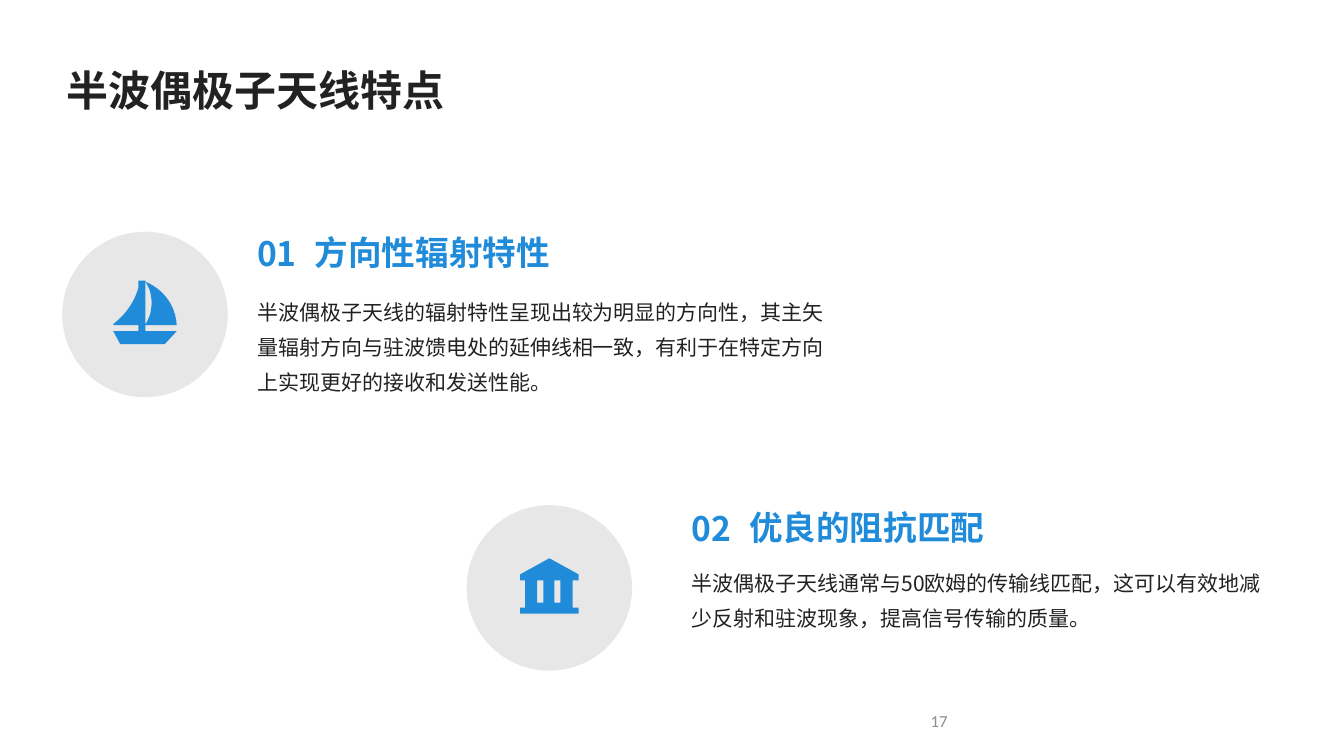
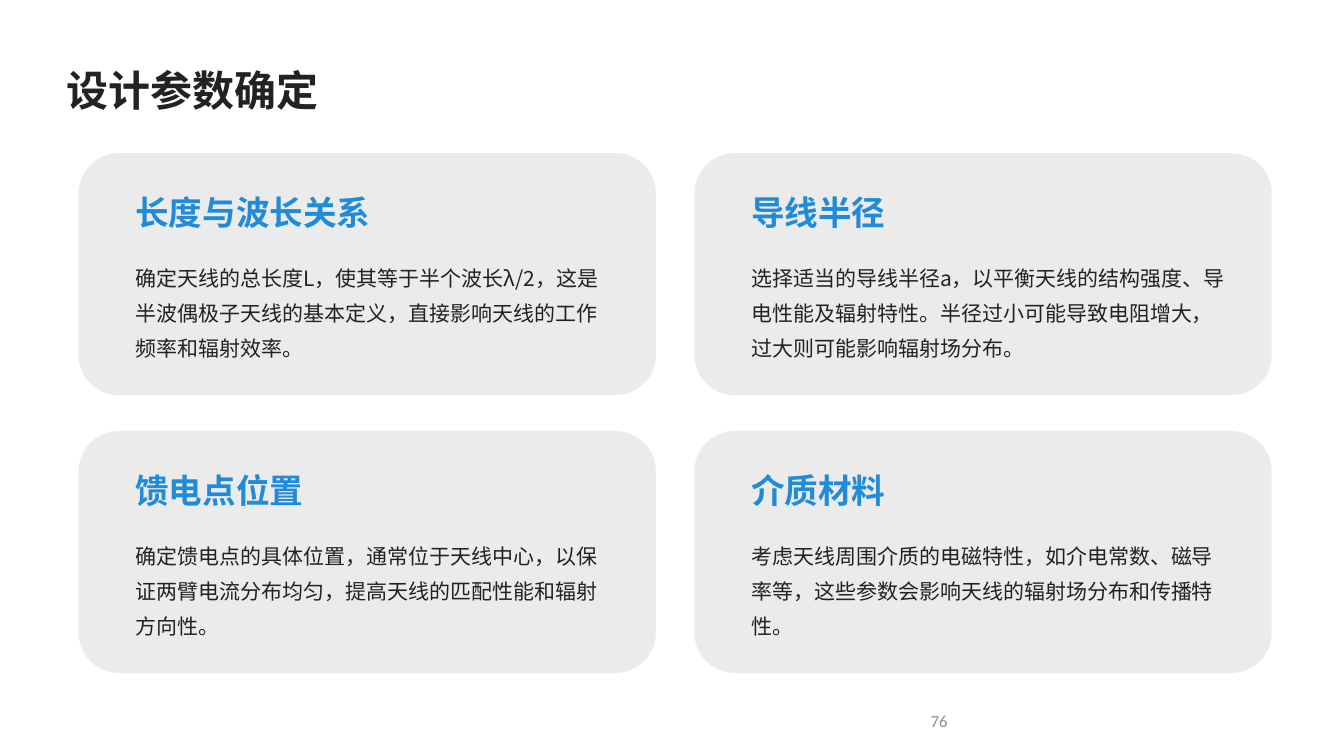
from pptx import Presentation
from pptx import util as u
from pptx.dml.color import RGBColor
from pptx.enum import shapes, text
from pptx.oxml.ns import qn
from lxml import etree

# Shared style
BLUE = RGBColor(0x20, 0x8B, 0xD9)
INK = RGBColor(0x22, 0x22, 0x22)
LIGHT_GREY = RGBColor(0xE7, 0xE7, 0xE7)
NUMBER_GREY = RGBColor(0x8D, 0x8D, 0x8D)
CJK_FONT = "Noto Sans CJK SC"
TIGHT = (0.18, 0.1, 0.18, 0.1)
ROOMY = (0.36, 0.36, 0.15, 0.36)
HEADING = dict(size=24, color=BLUE, bold=True, spacing=1.2)
BODY = dict(size=15, color=INK, spacing=1.4)

# Icon outlines in hundredths of an inch: a pair is a corner, three pairs a curve
SAILBOAT = [
    [(25, 6), (25, 0), (32, 0), (32, 50), (63, 50), (51, 63), (7, 63),
     (0, 50), (25, 50), (25, 44), (0, 44), (0, 43),
     ((12, 34), (21, 21), (25, 7))],
    [(63, 44), (32, 44), (32, 43), ((36, 37), (38, 30), (38, 22)),
     ((38, 14), (36, 7), (32, 1)), ((49, 8), (62, 24), (63, 44))],
]


def block(left, top, right, bottom):
    return [(left, top), (right, top), (right, bottom), (left, bottom)]


TEMPLE = [
    [(0, 16), (29, 0), (58, 16), (58, 22), (0, 22)],
    block(0, 49, 58, 55),
    block(5, 44, 52, 49),
    *[block(left, 22, right, 44) for left, right in ((5, 17), (23, 34), (40, 52))],
]

# Content
FEATURES_TITLE, FEATURES_NUMBER = "半波偶极子天线特点", "17"
FEATURES = [
    dict(number="01", heading="方向性辐射特性",
         body="半波偶极子天线的辐射特性呈现出较为明显的方向性，其主矢量辐射方向与驻波馈电处的延伸线相一致，有利于在特定方向上实现更好的接收和发送性能。",
         icon=SAILBOAT, circle=(1.57, 5.84), left=6.3, heading_top=5.59, body_top=7.19),
    dict(number="02", heading="优良的阻抗匹配",
         body="半波偶极子天线通常与50欧姆的传输线匹配，这可以有效地减少反射和驻波现象，提高信号传输的质量。",
         icon=TEMPLE, circle=(11.76, 12.73), left=17.25, heading_top=12.52, body_top=14.02),
]
CARDS_TITLE, CARDS_NUMBER = "设计参数确定", "76"
CARDS = [
    ("长度与波长关系", "确定天线的总长度L，使其等于半个波长λ/2，这是半波偶极子天线的基本定义，直接影响天线的工作频率和辐射效率。"),
    ("导线半径", "选择适当的导线半径a，以平衡天线的结构强度、导电性能及辐射特性。半径过小可能导致电阻增大，过大则可能影响辐射场分布。"),
    ("馈电点位置", "确定馈电点的具体位置，通常位于天线中心，以保证两臂电流分布均匀，提高天线的匹配性能和辐射方向性。"),
    ("介质材料", "考虑天线周围介质的电磁特性，如介电常数、磁导率等，这些参数会影响天线的辐射场分布和传播特性。"),
]


def write(box, words, size, color, bold=False, font=CJK_FONT, spacing=1.0,
          align=text.PP_ALIGN.LEFT, anchor=text.MSO_ANCHOR.TOP, insets=TIGHT):
    frame = box.text_frame
    frame.word_wrap = True
    frame.auto_size = text.MSO_AUTO_SIZE.NONE
    frame.vertical_anchor = anchor
    (frame.margin_left, frame.margin_top,
     frame.margin_right, frame.margin_bottom) = map(u.Cm, insets)
    para = frame.paragraphs[0]
    para.alignment = align
    para.line_spacing = spacing
    span = para.add_run()
    span.text = words
    span.font.size = u.Pt(size)
    span.font.bold = bold
    span.font.color.rgb = color
    span.font.name = font
    east_asian = etree.SubElement(span.font._element, qn("a:ea"))
    east_asian.set("typeface", font)


def add_text(page, words, at, **style):
    write(page.shapes.add_textbox(*map(u.Cm, at)), words, **style)


def paint(shape, color, opacity=100):
    shape.shadow.inherit = False
    shape.line.fill.background()
    shape.fill.solid()
    shape.fill.fore_color.rgb = color
    if opacity < 100:
        tint = shape._element.spPr.find(qn("a:solidFill"))[0]
        etree.SubElement(tint, qn("a:alpha")).set("val", str(opacity * 1000))


def add_shape(page, kind, at, **look):
    shape = page.shapes.add_shape(kind, *map(u.Cm, at))
    paint(shape, LIGHT_GREY, **look)
    return shape


def flatten(outline, steps=12):
    """Turn corners and cubic curves into points, in thousandths of an inch."""
    points = []
    for part in outline:
        if not isinstance(part[0], tuple):
            points.append((part[0] * 10, part[1] * 10))
            continue
        curve = [points[-1]] + [(x * 10, y * 10) for x, y in part]
        for step in range(1, steps + 1):
            t = step / steps
            weights = ((1 - t) ** 3, 3 * t * (1 - t) ** 2, 3 * t ** 2 * (1 - t), t ** 3)
            points.append(tuple(sum(w * p[axis] for w, p in zip(weights, curve))
                                for axis in (0, 1)))
    return points


def add_icon(page, outlines, circle):
    contours = [flatten(outline) for outline in outlines]
    pen = page.shapes.build_freeform(*contours[0][0], scale=u.Cm(2.54) / 1000)
    for index, points in enumerate(contours):
        if index:
            pen.move_to(*points[0])
        pen.add_line_segments(points[1:], close=True)
    icon = pen.convert_to_shape()
    icon.left = circle.left + (circle.width - icon.width) // 2
    icon.top = circle.top + (circle.height - icon.height) // 2 - u.Cm(0.05)
    paint(icon, BLUE)


def add_page(deck, title, number):
    page = deck.slides.add_slide(deck.slide_layouts[5])
    box = page.shapes.title
    box.left, box.top, box.width, box.height = map(u.Cm, (1.32, 0.74, 31.22, 2.54))
    write(box, title, size=30, color=INK, bold=True, spacing=1.4,
          anchor=text.MSO_ANCHOR.MIDDLE, insets=ROOMY)
    add_text(page, number, (18.21, 17.65, 5.92, 1.02), size=12, color=NUMBER_GREY,
             font="Calibri", align=text.PP_ALIGN.RIGHT,
             anchor=text.MSO_ANCHOR.MIDDLE, insets=(0.25, 0.13, 0.25, 0.13))
    return page


def add_feature(page, feature):
    circle = add_shape(page, shapes.MSO_SHAPE.OVAL, (*feature["circle"], 4.17, 4.17))
    add_icon(page, feature["icon"], circle)
    left, top = feature["left"], feature["heading_top"]
    add_text(page, feature["number"], (left, top - 0.22, 1.83, 1.8),
             anchor=text.MSO_ANCHOR.MIDDLE, **HEADING)
    add_text(page, feature["heading"], (left + 1.45, top, 8.3, 1.37),
             anchor=text.MSO_ANCHOR.BOTTOM, **HEADING)
    add_text(page, feature["body"], (left, feature["body_top"], 15.09, 2.97), **BODY)


def add_card(page, index, heading, body):
    row, column = divmod(index, 2)
    left, top = 1.98 + column * 15.52, 3.86 + row * 7
    add_shape(page, shapes.MSO_SHAPE.ROUNDED_RECTANGLE, (left, top, 14.55, 6.1), opacity=80)
    add_text(page, heading, (left + 1.07, top + 0.61, 11.94, 1.75),
             anchor=text.MSO_ANCHOR.BOTTOM, insets=ROOMY, **HEADING)
    add_text(page, body, (left + 1.07, top + 2.21, 12.45, 3.35), insets=ROOMY, **BODY)


def main():
    deck = Presentation()
    deck.slide_width, deck.slide_height = u.Cm(33.87), u.Cm(19.05)

    # Antenna features
    page = add_page(deck, FEATURES_TITLE, FEATURES_NUMBER)
    for feature in FEATURES:
        add_feature(page, feature)

    # Design parameters
    page = add_page(deck, CARDS_TITLE, CARDS_NUMBER)
    for index, (heading, body) in enumerate(CARDS):
        add_card(page, index, heading, body)

    deck.save("out.pptx")


if __name__ == "__main__":
    main()
